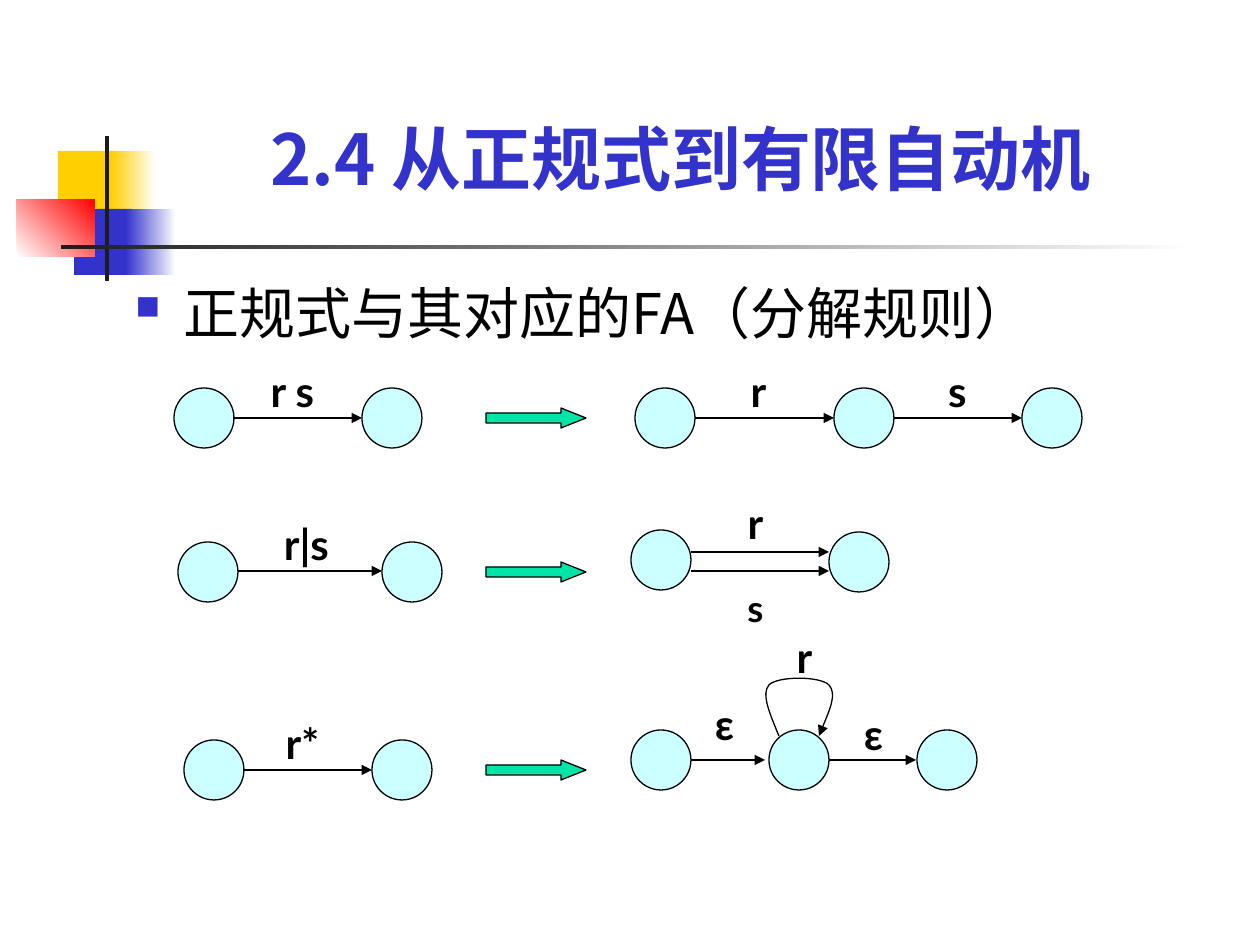
from lxml.etree import SubElement
from pptx import Presentation
from pptx.dml.color import RGBColor
from pptx.enum.shapes import MSO_CONNECTOR, MSO_SHAPE
from pptx.enum.text import MSO_ANCHOR, MSO_AUTO_SIZE, PP_ALIGN
from pptx.oxml.ns import qn
from pptx.util import Pt

SCALE = 914400 / 126
NODE = 60
COLORS = {
    "black": "000000", "white": "FFFFFF", "ink": "1C1C1C", "blue": "3333CC",
    "gold": "FFCF01", "red": "FF0000", "aqua": "CCFFFF", "green": "00E4A8",
}
LATO, NOTO = "Lato", "Noto Sans CJK JP"

BARS = [
    (58, 151, 60, 66, ("gold",)),
    (111, 151, 45, 66, ("gold", "white")),
    (74, 209, 58, 66, ("blue",)),
    (126, 209, 50, 66, ("blue", "white")),
    (17, 199, 78, 58, ("white", "red"), 45),
    (105, 136, 4, 145, ("ink",)),
    (61, 245, 1134, 4, ("ink", "white")),
]
NODES = {
    388: (174, 362, 635, 834, 1022),
    542: (178, 382),
    530: (631,),
    532: (829,),
    740: (184, 372),
    730: (631, 769, 917),
}
EDGES = {
    418: ((233, 362), (695, 834), (894, 1022)),
    552: ((691, 829),),
    571: ((238, 382), (691, 829)),
    770: ((243, 372),),
    760: ((691, 765), (829, 916)),
}
LABELS = [
    ("r s", 228, 359), ("r", 694, 359), ("s", 893, 359),
    ("r|s", 242, 512), ("r", 691, 491),
    ("r*", 238, 711), ("ε", 660, 692), ("ε", 809, 702), ("r", 740, 625),
]
LOOP = [
    (779, 736), (770, 714), (761, 694), (769, 685), (778, 676),
    (820, 676), (829, 685), (837, 694), (828, 714), (819, 736),
]


def px(*vals):
    """Turn px lengths into EMU."""
    return [round(val * SCALE) for val in vals]


def rgb(name):
    """Look up a colour by name."""
    return RGBColor.from_string(COLORS[name])


def stroke(line, tip=False):
    """Draw a thin black line, with an arrowhead if asked."""
    line.color.rgb = rgb("black")
    line.width = Pt(0.75)
    if tip:
        SubElement(line._get_or_add_ln(), qn("a:tailEnd"), type="triangle")


def add_bar(slide, x, y, wide, high, tones, angle=0):
    """Add a borderless bar, plain or fading."""
    bar = slide.shapes.add_shape(MSO_SHAPE.RECTANGLE, *px(x, y, wide, high))
    bar.shadow.inherit = False
    bar.line.fill.background()
    if len(tones) == 1:
        bar.fill.solid()
        bar.fill.fore_color.rgb = rgb(tones[0])
        return
    bar.fill.gradient()
    bar.fill.gradient_angle = angle
    for stop, tone in zip(bar.fill.gradient_stops, tones):
        stop.color.rgb = rgb(tone)


def add_form(slide, kind, box, tone):
    """Add an outlined preset shape."""
    form = slide.shapes.add_shape(kind, *px(*box))
    form.shadow.inherit = False
    form.fill.solid()
    form.fill.fore_color.rgb = rgb(tone)
    stroke(form.line)
    return form


def add_edge(slide, start, end, y):
    """Add a level arrow between two states."""
    edge = slide.shapes.add_connector(MSO_CONNECTOR.STRAIGHT, *px(start, y, end, y))
    stroke(edge.line, tip=True)
    SubElement(edge._element.spPr, qn("a:effectLst"))


def add_loop(slide):
    """Add the curved arrow from a state to itself."""
    points = [px(*point) for point in LOOP]
    maker = slide.shapes.build_freeform(*points[0], scale=1.0)
    maker.add_line_segments(points[1:], close=False)
    loop = maker.convert_to_shape()
    loop.shadow.inherit = False
    loop.fill.background()
    stroke(loop.line, tip=True)
    curve = loop._element.find(".//" + qn("a:path"))
    steps = curve.findall(qn("a:lnTo"))
    for i in range(0, len(steps), 3):
        bend = SubElement(curve, qn("a:cubicBezTo"))
        for step in steps[i:i + 3]:
            bend.append(step[0])
            curve.remove(step)


def add_text(slide, text, box, font, size, tone="black", bold=True):
    """Add a wrapped text box and return its frame."""
    frame = slide.shapes.add_textbox(*px(*box)).text_frame
    frame.word_wrap = True
    para = frame.paragraphs[0]
    para.alignment = PP_ALIGN.CENTER
    run = para.add_run()
    run.text = text
    style = {"name": font, "size": Pt(size), "bold": bold}
    for key, val in style.items():
        setattr(run.font, key, val)
    run.font.color.rgb = rgb(tone)
    SubElement(run._r.get_or_add_rPr(), qn("a:ea"), typeface=font)
    return frame


def add_label(slide, text, x, y, size=24):
    """Add the label of an edge."""
    frame = add_text(slide, text, (x, y, 129, 63), LATO, size)
    frame.auto_size = MSO_AUTO_SIZE.SHAPE_TO_FIT_TEXT
    return frame


def add_bullet(para, indent):
    """Give a paragraph a small square bullet."""
    para.alignment = PP_ALIGN.LEFT
    props = para._p.get_or_add_pPr()
    props.set("marL", str(indent))
    props.set("indent", str(-indent))
    color = SubElement(props, qn("a:buClr"))
    SubElement(color, qn("a:srgbClr"), val=COLORS["blue"])
    SubElement(props, qn("a:buSzPct"), val="60000")
    SubElement(props, qn("a:buChar"), char="■")


def main():
    """Build the slide and save it."""
    deck = Presentation()
    deck.slide_width, deck.slide_height = px(1260, 945)
    slide = deck.slides.add_slide(deck.slide_layouts[6])
    for bar in BARS:
        add_bar(slide, *bar)
    title = add_text(slide, "2.4 从正规式到有限自动机", (194, 116, 973, 84), NOTO, 40, "blue")
    title.vertical_anchor = MSO_ANCHOR.MIDDLE
    body = add_text(slide, "正规式与其对应的FA（分解规则）", (123, 272, 1057, 117),
                    NOTO, 32, bold=False)
    add_bullet(body.paragraphs[0], px(48)[0])
    for y, lefts in NODES.items():
        for x in lefts:
            add_form(slide, MSO_SHAPE.OVAL, (x, y, NODE, NODE), "aqua")
    for y, spans in EDGES.items():
        for start, end in spans:
            add_edge(slide, start, end, y)
    for y in (408, 562, 760):
        arrow = add_form(slide, MSO_SHAPE.RIGHT_ARROW, (486, y, 100, 20), "green")
        arrow.adjustments[1] = 1.25
    add_loop(slide)
    for label in LABELS:
        add_label(slide, *label)
    lower = add_label(slide, "s", 691, 538, 36)
    lower.paragraphs[0].runs[0].font._element.set("baseline", "-25000")
    deck.save("out.pptx")


if __name__ == "__main__":
    main()
